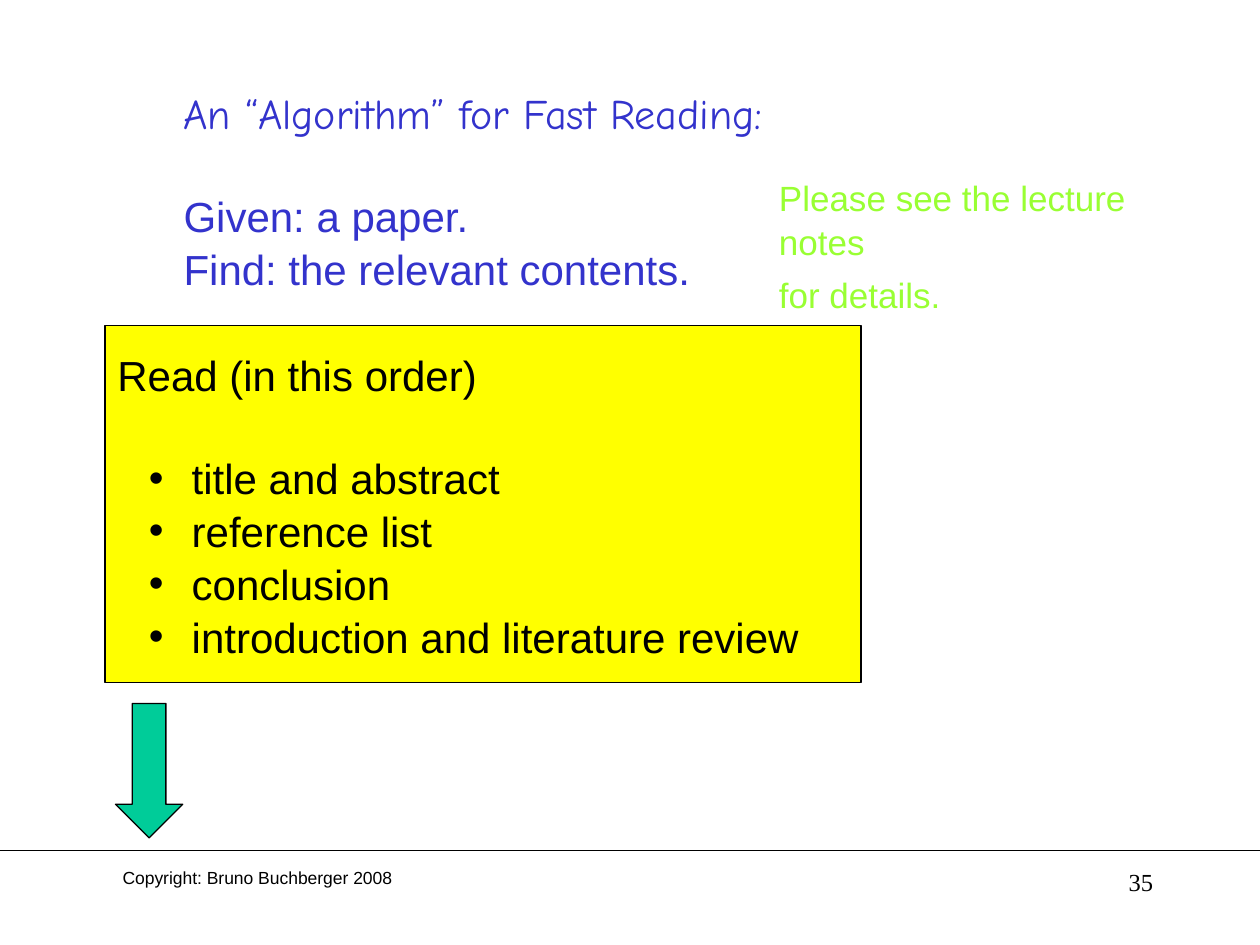
from pptx import Presentation, util as u
from pptx.dml.color import RGBColor
from pptx.enum import shapes, text
from pptx.oxml import parse_xml
from pptx.oxml.ns import nsdecls

WIDE, HIGH = 10, 7.5
COLS, ROWS = 120, 90
BLACK = RGBColor(0, 0, 0)
BLUE = RGBColor(0x33, 0x33, 0xCC)
LIME = RGBColor(0x99, 0xFF, 0x33)
YELLOW = RGBColor(0xFF, 0xFF, 0)
GREEN = RGBColor(0, 0xCC, 0x99)
GAP = 28.8


def grid(col, row, cols, rows):
    """Turn grid cells into a slide box."""
    across, down = WIDE / COLS, HIGH / ROWS
    return [u.Inches(n) for n in (col * across, row * down, cols * across, rows * down)]


def write(frame, lines, size, color, align=text.PP_ALIGN.LEFT, before=0, space=1.05):
    """Add one paragraph for each (words, font, space after, bullet) line."""
    for i, (words, font, after, bullet) in enumerate(lines):
        para = frame.paragraphs[0] if i == 0 else frame.add_paragraph()
        para.alignment = align
        para.line_spacing = space
        para.space_before, para.space_after = u.Pt(before), u.Pt(after)
        if bullet:
            mark(para)
        run = para.add_run()
        run.text = words
        run.font.name, run.font.size = font, u.Pt(size)
        run.font.color.rgb = color


def mark(para):
    """Give a paragraph a hanging bullet."""
    para.level = 1
    props = para._p.get_or_add_pPr()
    props.set("marL", str(u.Inches(0.59)))
    props.set("indent", str(-u.Inches(0.34)))
    props.append(parse_xml(f'<a:buFont {nsdecls("a")} typeface="Arial"/>'))
    props.append(parse_xml(f'<a:buChar {nsdecls("a")} char="•"/>'))


def label(slide, box, lines, size, color, wrap=True, **style):
    """Add a text box."""
    frame = slide.shapes.add_textbox(*grid(*box)).text_frame
    frame.word_wrap = wrap
    write(frame, lines, size, color, **style)


def block(slide, kind, box, fill):
    """Add a filled shape with a thin black outline."""
    shape = slide.shapes.add_shape(kind, *grid(*box))
    shape.shadow.inherit = False
    shape.fill.solid()
    shape.fill.fore_color.rgb = fill
    shape.line.color.rgb = BLACK
    shape.line.width = u.Pt(0.74)
    return shape


def rule(slide, row, cols):
    """Add a horizontal line from the left edge."""
    left, top, width, _ = grid(0, row, cols, 0)
    line = slide.shapes.add_connector(shapes.MSO_CONNECTOR.STRAIGHT, left, top, left + width, top)
    line.line.color.rgb = BLACK
    line.line.width = u.Pt(0.74)
    line._element.spPr.append(parse_xml(f'<a:effectLst {nsdecls("a")}/>'))


def main():
    """Build the slide and save it."""
    deck = Presentation()
    deck.slide_width, deck.slide_height = u.Inches(WIDE), u.Inches(HIGH)
    slide = deck.slides.add_slide(deck.slide_layouts[6])

    label(slide, (9, 82, 31, 4), [("Copyright: Bruno Buchberger 2008", "Arial", 0, False)],
          10, BLACK, align=text.PP_ALIGN.CENTER, space=1)
    rule(slide, 81, 123)
    label(slide, (16.3, 7.5, 63, 20.4),
          [("An “Algorithm” for Fast Reading:", "Comic Neue", GAP, False),
           ("Given: a paper.", "Arial", 0, False),
           ("Find: the relevant contents.", "Arial", 0, False)], 24, BLUE)

    steps = block(slide, shapes.MSO_SHAPE.RECTANGLE, (10, 31, 72, 34), YELLOW).text_frame
    steps.word_wrap = True
    steps.vertical_anchor = text.MSO_ANCHOR.MIDDLE
    items = ("title and abstract", "reference list", "conclusion",
             "introduction and literature review")
    write(steps, [("Read (in this order)", "Arial", GAP, False)]
          + [(item, "Arial", 0, True) for item in items], 24, BLACK)

    arrow = block(slide, shapes.MSO_SHAPE.DOWN_ARROW, (11, 67, 6.4, 12.8), GREEN)
    arrow.adjustments[0] = arrow.adjustments[1] = 0.5
    label(slide, (73, 16, 44.5, 10),
          [("Please see the lecture notes", "Arial", 0, False),
           ("for details.", "Arial", 0, False)], 20, LIME, wrap=False, before=5)
    label(slide, (86, 82, 25, 6), [("35", "Times New Roman", 0, False)],
          14, BLACK, align=text.PP_ALIGN.RIGHT, space=1)
    deck.save("out.pptx")


main()
